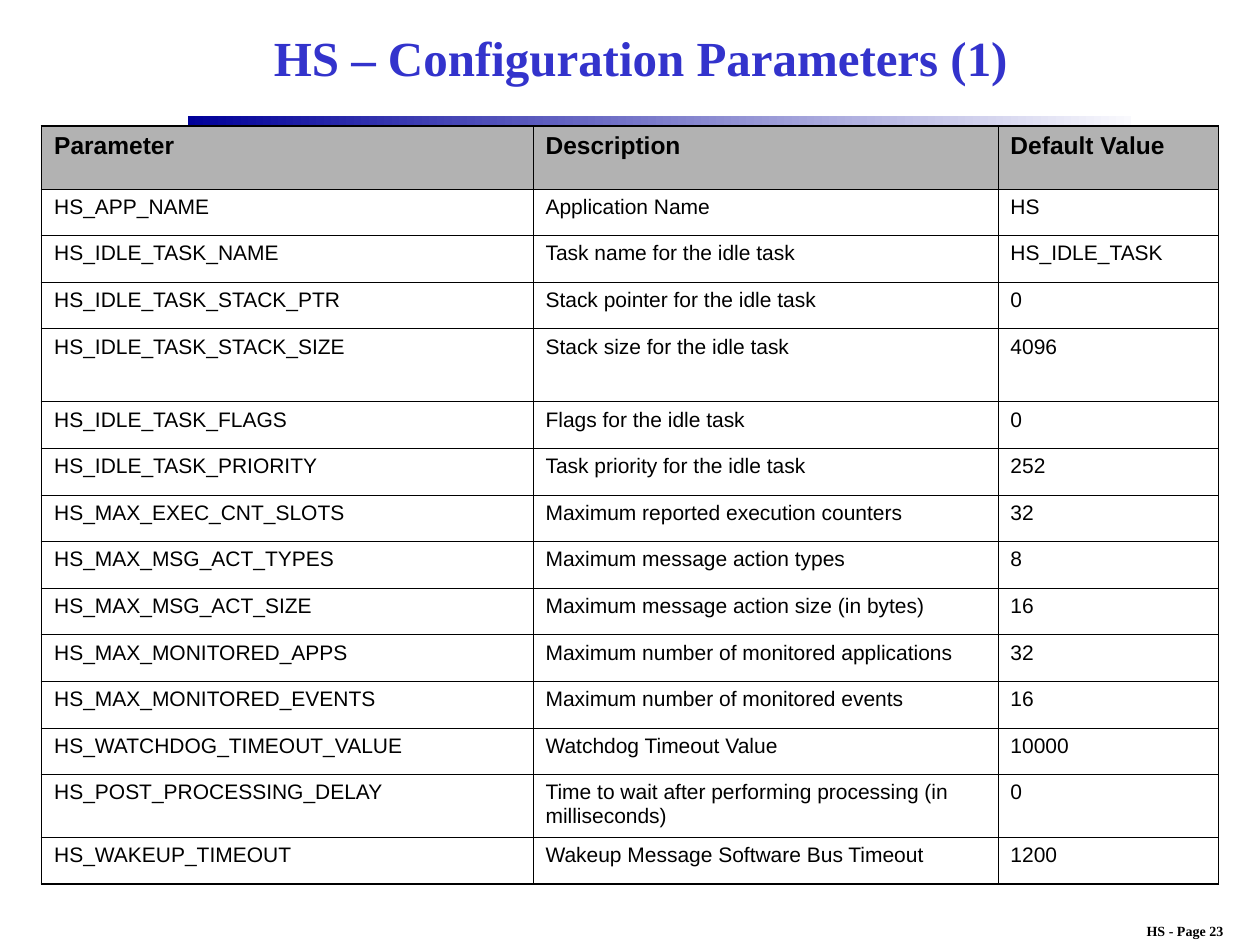
from lxml.etree import SubElement
from pptx import Presentation
from pptx.dml.color import RGBColor
from pptx.enum.shapes import MSO_SHAPE
from pptx.enum.text import MSO_ANCHOR, PP_ALIGN
from pptx.oxml.ns import qn
from pptx.util import Inches, Pt

COLORS = {
    "text": "000000",
    "title": "3333CC",
    "header": "B2B2B2",
    "rule_start": "000099",
    "rule_end": "F9F9FD",
}
SERIF, SANS = "Times New Roman", "Arial"
OUTER_BORDER, INNER_BORDER = 1.08, 0.45

# The slide is a grid of 100 columns by 75 rows of square units
GRID_COLUMNS, GRID_ROWS = 100, 75
COLUMN_WIDTHS = [39, 36.9, 17.5]
ROW_HEIGHT = 3.7
TALL_ROWS = {0: 5, 4: 5.8, 13: 5}

PARAMETERS = [
    ("Parameter", "Description", "Default Value"),
    ("HS_APP_NAME", "Application Name", "HS"),
    ("HS_IDLE_TASK_NAME", "Task name for the idle task", "HS_IDLE_TASK"),
    ("HS_IDLE_TASK_STACK_PTR", "Stack pointer for the idle task", "0"),
    ("HS_IDLE_TASK_STACK_SIZE", "Stack size for the idle task", "4096"),
    ("HS_IDLE_TASK_FLAGS", "Flags for the idle task", "0"),
    ("HS_IDLE_TASK_PRIORITY", "Task priority for the idle task", "252"),
    ("HS_MAX_EXEC_CNT_SLOTS", "Maximum reported execution counters", "32"),
    ("HS_MAX_MSG_ACT_TYPES", "Maximum message action types", "8"),
    ("HS_MAX_MSG_ACT_SIZE", "Maximum message action size (in bytes)", "16"),
    ("HS_MAX_MONITORED_APPS", "Maximum number of monitored applications", "32"),
    ("HS_MAX_MONITORED_EVENTS", "Maximum number of monitored events", "16"),
    ("HS_WATCHDOG_TIMEOUT_VALUE", "Watchdog Timeout Value", "10000"),
    ("HS_POST_PROCESSING_DELAY",
     "Time to wait after performing processing (in milliseconds)", "0"),
    ("HS_WAKEUP_TIMEOUT", "Wakeup Message Software Bus Timeout", "1200"),
]


class SlideBuilder:
    def __init__(self, presentation):
        self.unit = presentation.slide_width / GRID_COLUMNS
        self.slide = presentation.slides.add_slide(presentation.slide_layouts[6])

    def grid(self, *lengths):
        return [round(length * self.unit) for length in lengths]

    def style(self, paragraph, font, size, color="text", bold=False):
        for run in paragraph.runs:
            run.font.name = font
            run.font.size = Pt(size)
            run.font.bold = bold
            run.font.color.rgb = RGBColor.from_string(COLORS[color])

    def text(self, wording, box, size, color="text", wrap=True):
        frame = self.slide.shapes.add_textbox(*self.grid(*box)).text_frame
        frame.word_wrap = wrap
        frame.vertical_anchor = MSO_ANCHOR.MIDDLE
        frame.text = wording
        paragraph = frame.paragraphs[0]
        paragraph.alignment = PP_ALIGN.CENTER
        self.style(paragraph, SERIF, size, color, bold=True)

    def gradient_rule(self, box):
        rule = self.slide.shapes.add_shape(MSO_SHAPE.RECTANGLE, *self.grid(*box))
        rule.shadow.inherit = False
        rule.line.fill.background()
        rule.fill.gradient()
        rule.fill.gradient_angle = 0
        for stop, color in zip(rule.fill.gradient_stops, ("rule_start", "rule_end")):
            stop.color.rgb = RGBColor.from_string(COLORS[color])

    def border(self, cell, side, width):
        line = SubElement(cell._tc.get_or_add_tcPr(), qn(f"a:ln{side}"), w=str(Pt(width)))
        fill = SubElement(line, qn("a:solidFill"))
        SubElement(fill, qn("a:srgbClr"), val=COLORS["text"])

    def table(self, rows, left, top):
        heights = [TALL_ROWS.get(i, ROW_HEIGHT) for i in range(len(rows))]
        table = self.slide.shapes.add_table(
            len(rows), len(COLUMN_WIDTHS),
            *self.grid(left, top, sum(COLUMN_WIDTHS), sum(heights))).table
        table.first_row = table.horz_banding = False
        for column, width in zip(table.columns, self.grid(*COLUMN_WIDTHS)):
            column.width = width
        for row, height in zip(table.rows, self.grid(*heights)):
            row.height = height

        last_row, last_column = len(rows) - 1, len(COLUMN_WIDTHS) - 1
        for i, row in enumerate(rows):
            for j, wording in enumerate(row):
                cell = table.cell(i, j)
                # Heavy lines around the table, thin lines inside it
                outer_sides = {"L": j == 0, "R": j == last_column,
                               "T": i == 0, "B": i == last_row}
                for side, is_outer in outer_sides.items():
                    self.border(cell, side, OUTER_BORDER if is_outer else INNER_BORDER)
                self.cell(cell, wording, is_header=i == 0)

    def cell(self, cell, wording, is_header):
        if is_header:
            cell.fill.solid()
            cell.fill.fore_color.rgb = RGBColor.from_string(COLORS["header"])
        else:
            cell.fill.background()
        cell.text_frame.text = wording
        paragraph = cell.text_frame.paragraphs[0]
        paragraph.space_before = Pt(6.1 if is_header else 5.2)
        self.style(paragraph, SANS, 14 if is_header else 12, bold=is_header)


def main():
    presentation = Presentation()
    presentation.slide_width = Inches(10)
    presentation.slide_height = Inches(10 * GRID_ROWS / GRID_COLUMNS)
    builder = SlideBuilder(presentation)

    # Page number and rule under the title
    builder.text("HS - Page 23", (88, 72.7, 12.1, 2.3), 8, wrap=False)
    builder.gradient_rule((14.9, 9.2, 74.9, 0.7))

    # Title and parameter table
    builder.text("HS – Configuration Parameters (1)", (15, 0.8, 71.7, 7.5), 28, "title")
    builder.table(PARAMETERS, left=3.3, top=10)

    presentation.save("out.pptx")


if __name__ == "__main__":
    main()
